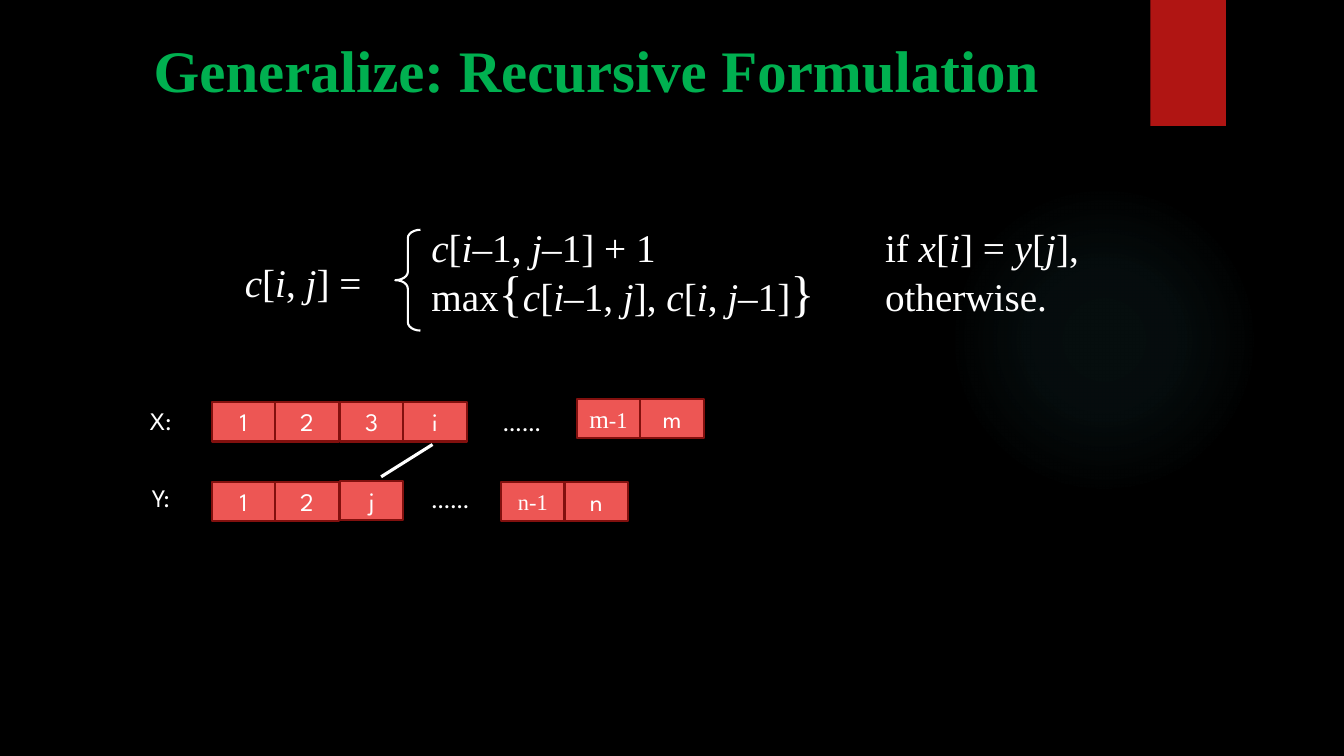
from itertools import groupby

from lxml import etree
from pptx import Presentation
from pptx import util as u
from pptx.dml import color
from pptx.enum import shapes, text
from pptx.oxml import ns

COLORS = {"background": "000000", "glow": "50B9C1", "tab": "B01513", "title": "00B050",
          "text": "FFFFFF", "cell": "ED5654", "border": "82100E"}
SERIF, SANS = "Times New Roman", "League Spartan"

# Content: asterisks enclose italics
TITLE = "Generalize: Recursive Formulation"
LEFT_SIDE = ["*c*[*i*, *j*] ="]
CASES = ["*c*[*i*–1, *j*–1] + 1\tif *x*[*i*] = *y*[*j*],",
         "max{*c*[*i*–1, *j*], *c*[*i*, *j*–1]}\totherwise."]

# Cell groups: left, top, cells; each cell is a list of (text, size, font)
CELL_W, CELL_H = 0.63, 0.39
CELL_GROUPS = [
    (2.1, 3.99, [[("1", 18, SANS)], [("2", 18, SANS)]]),
    (3.37, 3.99, [[("3", 18, SANS)], [("i", 18, SANS)]]),
    (5.72, 3.96, [[("m", 18, SERIF), ("-1", 16, SERIF)], [("m", 18, SANS)]]),
    (2.1, 4.78, [[("1", 18, SANS)], [("2", 18, SANS)]]),
    (3.37, 4.77, [[("j", 18, SANS)]]),
    (4.97, 4.78, [[("n-1", 16, SERIF)], [("n", 18, SANS)]]),
]
LABEL_W, LABEL_H = 0.71, 0.47
LABELS = [("X:", 1.24, 3.94), ("……", 4.82, 3.95), ("Y:", 1.24, 4.7), ("……", 4.11, 4.71)]

presentation = Presentation()
presentation.slide_width, presentation.slide_height = u.Inches(13.33), u.Inches(7.5)
slide = presentation.slides.add_slide(presentation.slide_layouts[6])


def rgb(name):
    return color.RGBColor.from_string(COLORS[name])


def add_shape(kind, box, fill=None, line=None):
    shape = slide.shapes.add_shape(kind, *map(u.Inches, box))
    shape.shadow.inherit = False
    if fill:
        shape.fill.solid()
        shape.fill.fore_color.rgb = rgb(fill)
    else:
        shape.fill.background()
    if line:
        shape.line.color.rgb = rgb(line)
        shape.line.width = u.Pt(1.5)
    else:
        shape.line.fill.background()
    return shape


def add_run(paragraph, words, size, font, fill="text", bold=False, italic=False):
    run = paragraph.add_run()
    run.text = words
    run.font.size, run.font.name = u.Pt(size), font
    run.font.bold, run.font.italic = bold, italic
    run.font.color.rgb = rgb(fill)


def centre(shape):
    frame = shape.text_frame
    frame.word_wrap = True
    frame.vertical_anchor = text.MSO_ANCHOR.MIDDLE
    frame.margin_left = frame.margin_right = 0
    frame.paragraphs[0].alignment = text.PP_ALIGN.CENTER
    return frame.paragraphs[0]


def add_textbox(box):
    return slide.shapes.add_textbox(*map(u.Inches, box))


def add_formula(box, lines, spacing=1.0, tab=None):
    frame = add_textbox(box).text_frame
    frame.word_wrap = False
    for number, line in enumerate(lines):
        paragraph = frame.add_paragraph() if number else frame.paragraphs[0]
        paragraph.line_spacing = spacing
        if tab:
            tabs = etree.SubElement(paragraph._p.get_or_add_pPr(), ns.qn("a:tabLst"))
            etree.SubElement(tabs, ns.qn("a:tab"), pos=str(u.Inches(tab)), algn="l")
        for index, part in enumerate(line.split("*")):
            for curly, letters in groupby(part, key=lambda letter: letter in "{}"):
                add_run(paragraph, "".join(letters), 36 if curly else 28, SERIF,
                        italic=index % 2 == 1)


# Background, glow and red tab
slide.background.fill.solid()
slide.background.fill.fore_color.rgb = rgb("background")
glow = add_shape(shapes.MSO_SHAPE.OVAL, (9.41, 1.83, 3.08, 3.08))
glow.fill.gradient()
gradient = glow._element.spPr.find(ns.qn("a:gradFill"))
for child in list(gradient):
    gradient.remove(child)
stops = etree.SubElement(gradient, ns.qn("a:gsLst"))
for position, alpha in [(0, 7), (36, 6), (69, 0)]:
    stop = etree.SubElement(stops, ns.qn("a:gs"), pos=str(position * 1000))
    tint = etree.SubElement(stop, ns.qn("a:srgbClr"), val=COLORS["glow"])
    etree.SubElement(tint, ns.qn("a:alpha"), val=str(alpha * 1000))
circle = etree.SubElement(gradient, ns.qn("a:path"), path="circle")
etree.SubElement(circle, ns.qn("a:fillToRect"), dict.fromkeys("ltrb", "50000"))
add_shape(shapes.MSO_SHAPE.RECTANGLE, (11.41, 0, 0.75, 1.25), "tab")

# Title
add_run(centre(add_textbox((0.8, 0.24, 10.23, 0.88))), TITLE, 42, SERIF, "title", bold=True)

# Recursive formula
add_formula((2.33, 2.51, 1.36, 0.57), LEFT_SIDE)
add_formula((4.18, 2.24, 6.63, 1.01), CASES, spacing=0.85, tab=4.5)
brace = add_shape(shapes.MSO_SHAPE.LEFT_BRACE, (3.92, 2.28, 0.25, 1), line="text")
brace.adjustments[0], brace.adjustments[1] = 0.333, 0.5

# Sequences X and Y
for left, top, cells in CELL_GROUPS:
    for column, runs in enumerate(cells):
        cell = add_shape(shapes.MSO_SHAPE.RECTANGLE,
                         (left + column * CELL_W, top, CELL_W, CELL_H), "cell", "border")
        paragraph = centre(cell)
        for words, size, font in runs:
            add_run(paragraph, words, size, font)
for words, left, top in LABELS:
    add_run(centre(add_textbox((left, top, LABEL_W, LABEL_H))), words, 18, SANS)

# Link between i and j
link = slide.shapes.add_connector(shapes.MSO_CONNECTOR.STRAIGHT,
                                  *map(u.Inches, (3.78, 4.73, 4.29, 4.41)))
link.line.color.rgb = rgb("text")
link.line.width = u.Pt(2.25)
etree.SubElement(link._element.spPr, ns.qn("a:effectLst"))

presentation.save("out.pptx")
